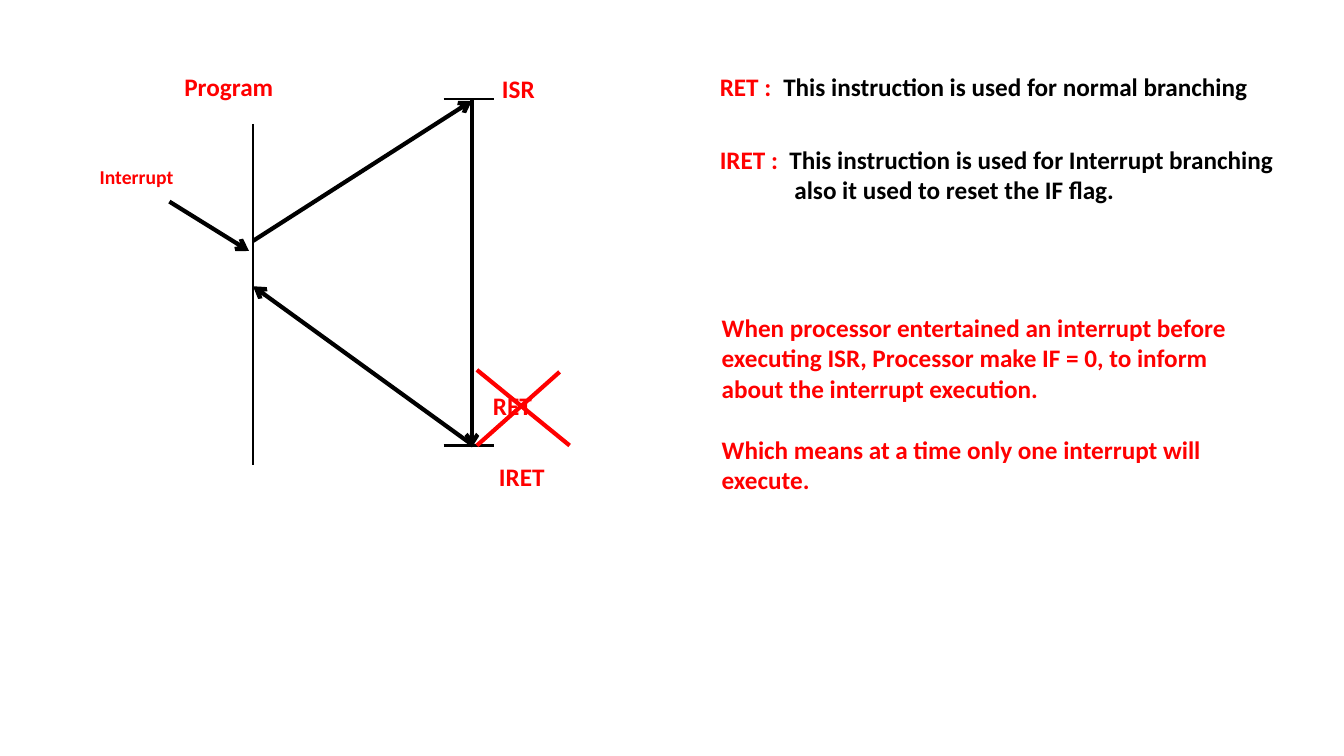
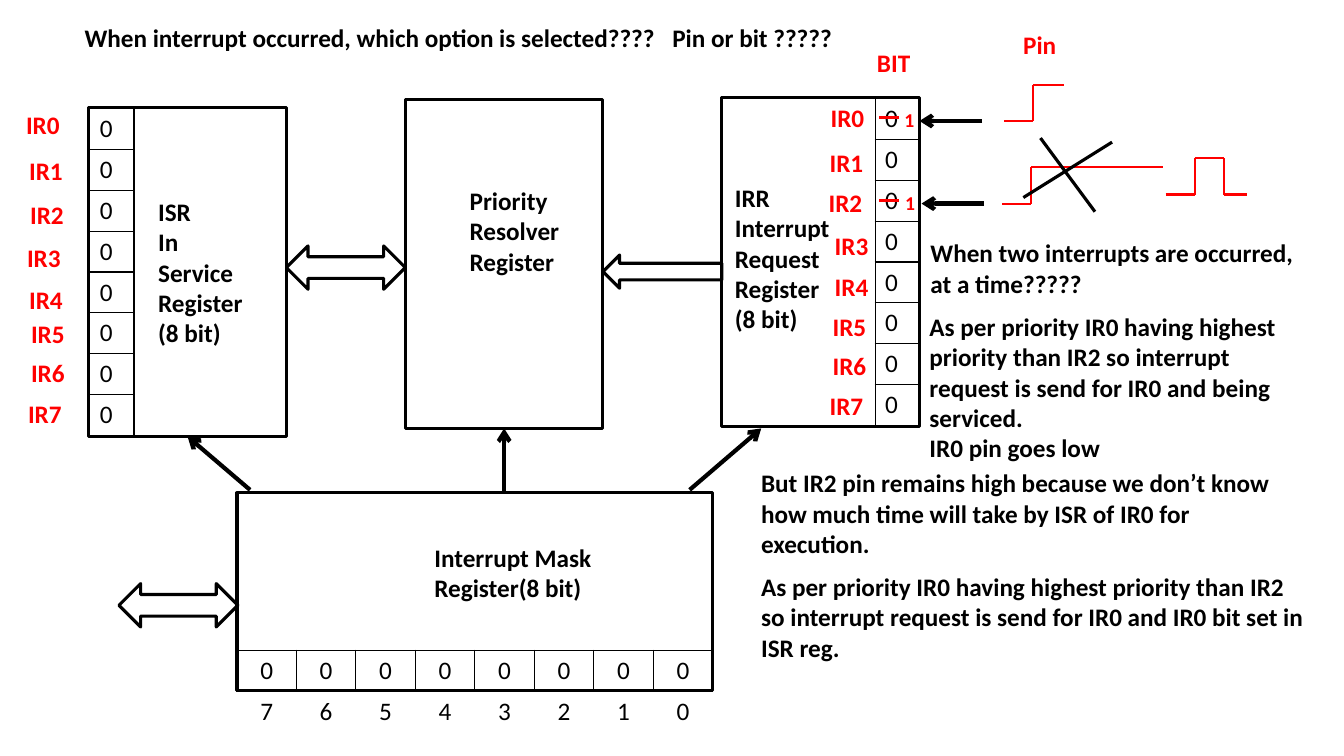
import pptx
import pptx.dml.color
import pptx.enum.shapes
import pptx.enum.text
import pptx.oxml
import pptx.oxml.ns
import pptx.util

Inches = pptx.util.Inches
Shape = pptx.enum.shapes.MSO_SHAPE
COLORS = {"ink": "000000", "red": "FF0000"}
FONT = "Calibri"
PLAIN = "{2D5ABB26-0587-4C30-8999-92F81FD0307C}"


def rgb(name):
    return pptx.dml.color.RGBColor.from_string(COLORS[name])


def make(tag, **attrs):
    node = pptx.oxml.parse_xml(f"<a:{tag} {pptx.oxml.ns.nsdecls('a')}/>")
    for key, value in attrs.items():
        node.set(key, str(value))
    return node


def style(font, color="ink", size=18, bold=True):
    font.name, font.size, font.bold = FONT, pptx.util.Pt(size), bold
    font.color.rgb = rgb(color)


def write(slide, box, *paras, gap=0, tab=None, inset=0, lead=None, **form):
    """Write paragraphs; lead is a red start, set apart from the rest by a tab.

    gap is the space before, and inset the indent, of each paragraph after the first.
    """
    frame = slide.shapes.add_textbox(*map(Inches, box)).text_frame
    frame.word_wrap = True
    for i, words in enumerate(paras):
        para = frame.paragraphs[0] if i == 0 else frame.add_paragraph()
        props = para._p.get_or_add_pPr()
        if i:
            para.space_before = pptx.util.Pt(gap)
            props.set("marL", str(Inches(inset)))
        elif tab:
            stops = make("tabLst")
            stops.append(make("tab", pos=Inches(tab), algn="l"))
            props.append(stops)
        if lead and i == 0:
            run = para.add_run()
            run.text = lead
            style(run.font, "red")
            words = "\t" + words
        run = para.add_run()
        run.text = words
        style(run.font, **form)


def label(slide, x, y, words, width=0.7, **form):
    write(slide, (x, y, width, 0.4), words, color="red", **form)


def line(slide, start, end, color="ink", width=1.5, arrow=False):
    link = slide.shapes.add_connector(
        pptx.enum.shapes.MSO_CONNECTOR.STRAIGHT, *map(Inches, (*start, *end)))
    link.line.color.rgb = rgb(color)
    link.line.width = pptx.util.Pt(width)
    if arrow:
        link.line._get_or_add_ln().append(make("tailEnd", type="arrow"))
    link._element.spPr.append(make("effectLst"))


def arrow(slide, start, end):
    line(slide, start, end, width=3, arrow=True)


def trace(slide, x, y, steps):
    """Draw a red signal through points given relative to x, y."""
    points = [(x + dx, y + dy) for dx, dy in steps]
    for start, end in zip(points, points[1:]):
        line(slide, start, end, "red")


def block(slide, box, kind=Shape.RECTANGLE):
    shape = slide.shapes.add_shape(kind, *map(Inches, box))
    shape.shadow.inherit = False
    shape.fill.background()
    shape.line.color.rgb = rgb("ink")
    shape.line.width = pptx.util.Pt(2.25)


def edge(cell):
    props = cell._tc.get_or_add_tcPr()
    for side in ("lnL", "lnR", "lnT", "lnB"):
        stroke = make(side, w=pptx.util.Pt(1))
        fill = make("solidFill")
        fill.append(make("srgbClr", val=COLORS["ink"]))
        stroke.append(fill)
        props.append(stroke)


def bits(slide, box, rows, ruled, align):
    """Add a table of digits with borders on the first ruled rows."""
    frame = slide.shapes.add_table(len(rows), len(rows[0]), *map(Inches, box))
    table = frame.table
    table.first_row = table.horz_banding = False
    table._tbl.tblPr.find(pptx.oxml.ns.qn("a:tableStyleId")).text = PLAIN
    for r, row in enumerate(rows):
        for c, digit in enumerate(row):
            cell = table.cell(r, c)
            if r < ruled:
                edge(cell)
            cell.fill.background()
            cell.text = digit
            para = cell.text_frame.paragraphs[0]
            para.alignment = align
            style(para.runs[0].font, bold=False)


def store(slide, box, words, place, column=None, labels=()):
    """Draw a register: frame, name at place, bit column, IR labels."""
    x, y, w, h = box
    block(slide, box)
    if column is not None:
        bits(slide, (x + column, y + 0.01, 0.44, 3.24), ["0"] * 8, 8,
             pptx.enum.text.PP_ALIGN.LEFT)
    write(slide, (x + place[0], y + place[1], 1.34, 1.62), *words)
    for i, (dx, dy) in enumerate(labels):
        label(slide, x + dx, y + dy, f"IR{i}")


def mask(slide, box):
    x, y, w, h = box
    block(slide, box)
    write(slide, (x + 1.86, y + 0.44, 2.4, 0.71), "Interrupt Mask Register(8 bit)")
    bits(slide, (x, y + 1.56, w, 0.81), ["0" * 8, "76543210"], 1,
         pptx.enum.text.PP_ALIGN.CENTER)


def flow(slide, x, y):
    """Draw the jump from program to ISR and back; x, y is the ISR's top."""
    foot = y + 3.43
    left = x - 2.17
    line(slide, (left, y + 0.25), (left, y + 3.63))
    for level in (y, foot + 0.01):
        line(slide, (x - 0.28, level), (x + 0.22, level))
    arrow(slide, (left, y + 1.41), (x, y + 0.02))
    arrow(slide, (x, y), (x, foot + 0.03))
    arrow(slide, (x, foot), (left, y + 1.86))
    arrow(slide, (x - 3, y + 1.02), (x - 2.21, y + 1.51))
    label(slide, x - 2.95, y - 0.32, "Program", width=2.2)
    label(slide, x - 3.79, y + 0.61, "Interrupt", width=1.09, size=14)
    label(slide, x + 0.2, y - 0.3, "ISR")
    label(slide, x + 0.11, y + 2.84, "RET")
    label(slide, x + 0.17, y + 3.55, "IRET", width=0.76)
    line(slide, (x + 0.05, y + 2.69), (x + 0.97, foot + 0.01), "red", 3)
    line(slide, (x + 0.87, y + 2.71), (x + 0.05, foot + 0.01), "red", 3)


def notes(slide, x, y):
    write(slide, (x, y, 6.22, 0.4), "This instruction is used for normal branching",
          lead="RET :", tab=0.63)
    write(slide, (x, y + 0.72, 6.22, 0.71),
          "This instruction is used for Interrupt branching",
          "also it used to reset the IF flag.", lead="IRET :", tab=0.69, inset=0.74)
    write(slide, (x + 0.02, y + 2.39, 5.43, 1.92),
          "When processor entertained an interrupt before executing ISR, "
          "Processor make IF = 0, to inform about the interrupt execution.",
          "Which means at a time only one interrupt will execute.",
          color="red", gap=22)


def pins(slide, x, y):
    """Draw the pin signals, their arrows and the bits they set."""
    label(slide, x + 0.93, y - 0.96, "Pin")
    label(slide, x - 0.52, y - 0.78, "BIT")
    for dx, level in ((0, y), (0.02, y + 0.82)):
        arrow(slide, (x + 0.62 + dx, level), (x + dx, level))
        label(slide, x - 0.25 + dx / 2, level - 0.18, "1", width=0.35, size=14)
        line(slide, (x - 0.4, level - 0.03), (x - 0.2, level - 0.03), "red", 2.25)
    trace(slide, x + 0.84, y, [(0, 0), (0.29, 0), (0.29, -0.36), (0.59, -0.36)])
    trace(slide, x + 0.82, y + 0.82, [(0, 0), (0.29, 0), (0.29, -0.36), (1.59, -0.36)])
    trace(slide, x + 2.44, y + 0.73,
          [(0, 0), (0.29, 0), (0.29, -0.36), (0.58, -0.36), (0.58, 0), (0.81, 0)])
    line(slide, (x + 1.2, y + 0.17), (x + 1.74, y + 0.9), width=2.25)
    line(slide, (x + 1.03, y + 0.76), (x + 1.91, y + 0.21), width=2.25)


def remarks(slide, x, y):
    write(slide, (x, y, 3.85, 0.71), "When two interrupts are occurred, at a time?????")
    write(slide, (x - 0.01, y + 0.73, 3.65, 1.62),
          "As per priority IR0 having highest priority than IR2 so interrupt "
          "request is send for IR0 and being serviced.", "IR0 pin goes low")
    write(slide, (x - 1.68, y + 2.28, 5.56, 1.01),
          "But IR2 pin remains high because we don’t know how much time will "
          "take by ISR of IR0 for execution.")
    write(slide, (x - 1.68, y + 3.31, 5.65, 1.01),
          "As per priority IR0 having highest priority than IR2 so interrupt "
          "request is send for IR0 and IR0 bit set in ISR reg.")


def chip(slide):
    """Build the slide with the four registers."""
    write(slide, (0.74, 0.17, 8.52, 0.4),
          "When interrupt occurred, which option is selected????\tPin or bit ?????",
          tab=5.83)
    size = (1.96, 3.26)
    store(slide, (7.16, 0.97, *size),
          ("IRR", "Interrupt", "Request", "Register", "(8 bit)"), (0.03, 0.79), 1.52,
          [(0.98, 0), (0.97, 0.44), (0.96, 0.84), (1.02, 1.27),
           (1.02, 1.67), (1, 2.07), (1, 2.46), (0.97, 2.85)])
    store(slide, (0.88, 1.07, *size),
          ("ISR", "In", "Service", "Register", "(8 bit)"), (0.59, 0.83), 0.01,
          [(-0.72, -0.03), (-0.69, 0.42), (-0.68, 0.86), (-0.71, 1.28),
           (-0.69, 1.7), (-0.67, 2.04), (-0.67, 2.43), (-0.7, 2.83)])
    store(slide, (4.02, 0.99, *size), ("Priority", "Resolver", "Register"), (0.54, 0.8))
    mask(slide, (2.35, 4.89, 4.72, 1.96))
    block(slide, (5.98, 2.53, 1.18, 0.33), Shape.LEFT_ARROW)
    for x, y in ((2.84, 2.44), (1.18, 5.79)):
        block(slide, (x, y, 1.18, 0.43), Shape.LEFT_RIGHT_ARROW)
    for start, end in (((2.48, 4.86), (1.86, 4.33)), ((5, 4.89), (5, 4.25)),
                       ((6.84, 4.86), (7.55, 4.25))):
        arrow(slide, start, end)
    pins(slide, 9.12, 1.2)
    remarks(slide, 9.13, 2.31)


def main():
    deck = pptx.Presentation()
    deck.slide_width, deck.slide_height = Inches(13.33), Inches(7.5)
    blank = deck.slide_layouts[6]
    first = deck.slides.add_slide(blank)
    flow(first, 4.68, 0.98)
    notes(first, 7.04, 0.66)
    chip(deck.slides.add_slide(blank))
    deck.save("out.pptx")


if __name__ == "__main__":
    main()
